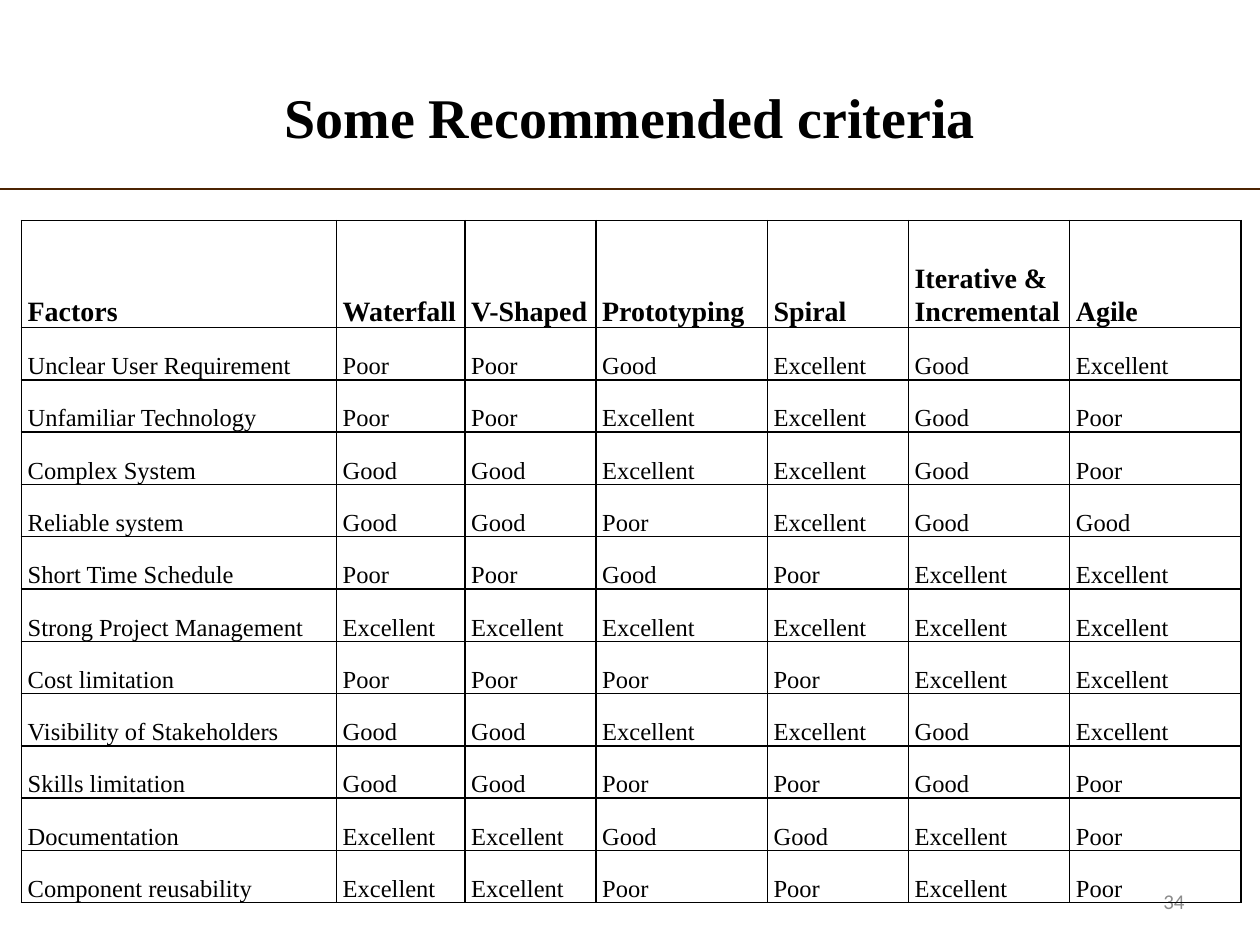
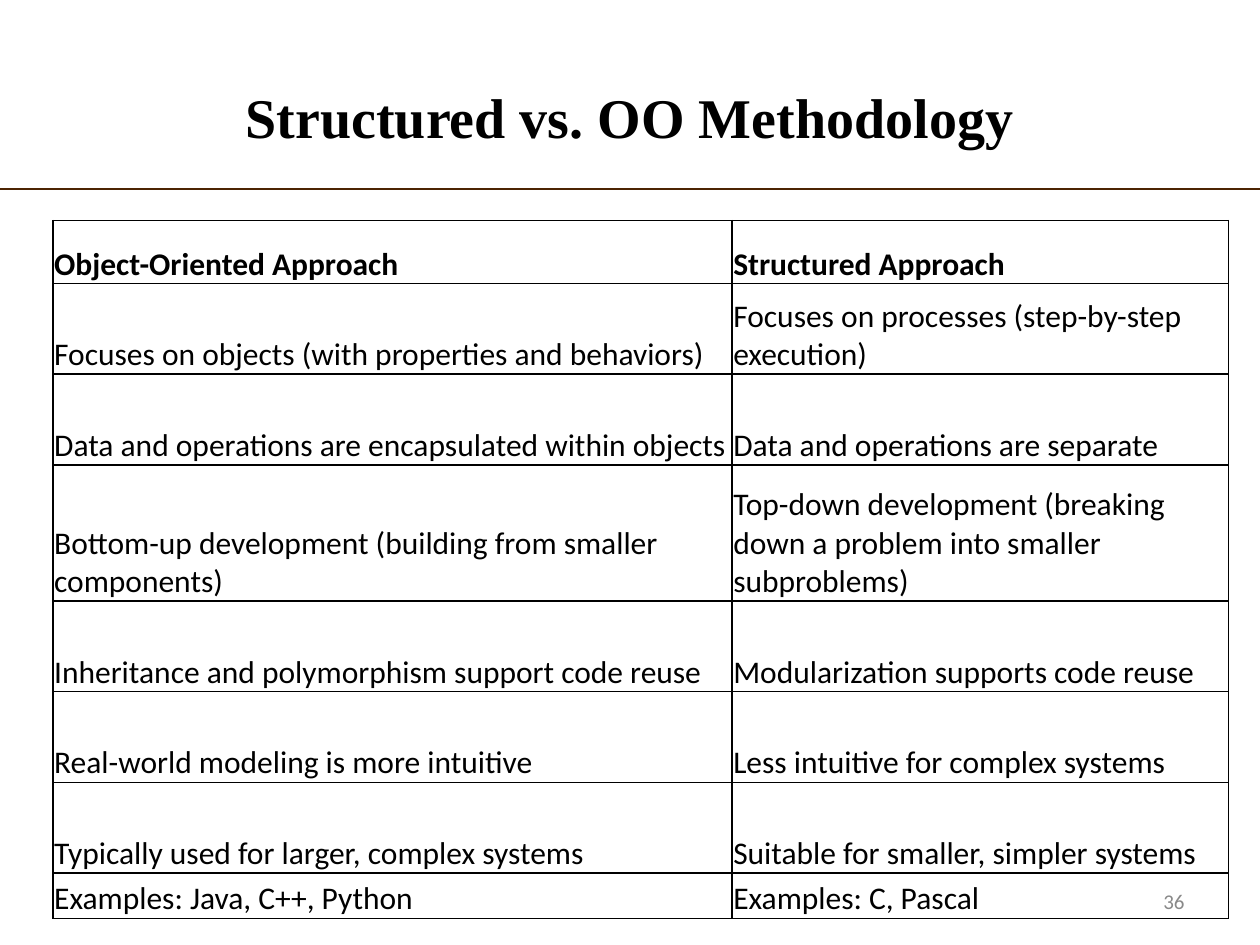
import dataclasses
import typing

import lxml.etree
import pptx
import pptx.dml.color
import pptx.enum.shapes
import pptx.enum.text
import pptx.oxml.ns
import pptx.util

Inches = pptx.util.Inches
Pt = pptx.util.Pt
ALIGN = pptx.enum.text.PP_ALIGN
ANCHOR = pptx.enum.text.MSO_ANCHOR

COLORS = {
    "text": "000000",
    "rule": "4C2403",
    "number": "8C8C8C",
    "number_alt": "898989",
    "border": "000000",
}
SERIF = "Times New Roman"
SANS = "Calibri"
TITLE_FONT = {"name": SERIF, "size": Pt(32), "bold": True}
NUMBER_FONT = {"name": SANS, "size": Pt(12), "bold": False}

CRITERIA = [
    ["Factors", "Waterfall", "V-Shaped", "Prototyping", "Spiral",
     "Iterative & Incremental", "Agile"],
    ["Unclear User Requirement", "Poor", "Poor", "Good", "Excellent", "Good", "Excellent"],
    ["Unfamiliar Technology", "Poor", "Poor", "Excellent", "Excellent", "Good", "Poor"],
    ["Complex System", "Good", "Good", "Excellent", "Excellent", "Good", "Poor"],
    ["Reliable system", "Good", "Good", "Poor", "Excellent", "Good", "Good"],
    ["Short Time Schedule", "Poor", "Poor", "Good", "Poor", "Excellent", "Excellent"],
    ["Strong Project Management"] + ["Excellent"] * 6,
    ["Cost limitation", "Poor", "Poor", "Poor", "Poor", "Excellent", "Excellent"],
    ["Visibility of Stakeholders", "Good", "Good", "Excellent", "Excellent", "Good", "Excellent"],
    ["Skills limitation", "Good", "Good", "Poor", "Poor", "Good", "Poor"],
    ["Documentation", "Excellent", "Excellent", "Good", "Good", "Excellent", "Poor"],
    ["Component reusability", "Excellent", "Excellent", "Poor", "Poor", "Excellent", "Poor"],
]
APPROACHES = [
    ["Object-Oriented Approach", "Structured Approach"],
    ["Focuses on objects (with properties and behaviors)",
     "Focuses on processes (step-by-step execution)"],
    ["Data and operations are encapsulated within objects",
     "Data and operations are separate"],
    ["Bottom-up development (building from smaller components)",
     "Top-down development (breaking down a problem into smaller subproblems)"],
    ["Inheritance and polymorphism support code reuse",
     "Modularization supports code reuse"],
    ["Real-world modeling is more intuitive", "Less intuitive for complex systems"],
    ["Typically used for larger, complex systems", "Suitable for smaller, simpler systems"],
    ["Examples: Java, C++, Python", "Examples: C, Pascal"],
]


@dataclasses.dataclass
class TableSlide:
    title: str
    number: str
    number_color: str
    left: float
    cols: list[float]
    rows: list[float]
    cells: list[list[str]]
    header_font: dict[str, typing.Any]
    body_font: dict[str, typing.Any]
    cell_format: dict[str, typing.Any]
    paragraph_format: dict[str, typing.Any]


SLIDES = [
    TableSlide(
        title="Some Recommended criteria", number="34", number_color="number", left=0.17,
        cols=[2.5, 1.02, 1.04, 1.36, 1.12, 1.28, 1.36],
        rows=[0.85] + [0.415] * 11,
        cells=CRITERIA,
        header_font={"name": SERIF, "size": Pt(16), "bold": True},
        body_font={"name": SERIF, "size": Pt(14), "bold": False},
        cell_format={"margin_left": Inches(0.05), "margin_top": 0,
                     "margin_right": 0, "margin_bottom": 0},
        paragraph_format={"line_spacing": 1.07, "space_after": Pt(8)},
    ),
    TableSlide(
        title="Structured vs. OO Methodology", number="36", number_color="number_alt", left=0.42,
        cols=[5.39, 3.94],
        rows=[0.5, 0.72, 0.72, 1.08, 0.72, 0.72, 0.72, 0.36],
        cells=APPROACHES,
        header_font={"name": SANS, "size": Pt(18), "bold": True},
        body_font={"name": SANS, "size": Pt(18), "bold": False},
        cell_format={"margin_left": Inches(0.01), "margin_top": Inches(0.01),
                     "margin_right": Inches(0.01), "margin_bottom": 0},
        paragraph_format={},
    ),
]


def rgb(color: str) -> pptx.dml.color.RGBColor:
    return pptx.dml.color.RGBColor.from_string(COLORS[color])


def apply(target: typing.Any, values: dict[str, typing.Any]) -> None:
    for name, value in values.items():
        setattr(target, name, value)


def write(tf: typing.Any, text: str, font: dict[str, typing.Any], color: str,
          paragraph: dict[str, typing.Any]) -> None:
    p = tf.paragraphs[0]
    apply(p, paragraph)
    r = p.add_run()
    r.text = text
    apply(r.font, font)
    r.font.color.rgb = rgb(color)


def place(sp: typing.Any, left: float, top: float, width: float, height: float) -> None:
    apply(sp, {"left": Inches(left), "top": Inches(top),
               "width": Inches(width), "height": Inches(height)})


def add_title(s: typing.Any, text: str) -> None:
    sp = s.shapes.title
    place(sp, 0.5, 0.3, 9, 1.25)
    apply(sp.text_frame, {"vertical_anchor": ANCHOR.MIDDLE, "word_wrap": True})
    write(sp.text_frame, text, TITLE_FONT, "text", {"alignment": ALIGN.CENTER})


def add_number(s: typing.Any, text: str, color: str) -> None:
    sp = s.shapes.add_textbox(Inches(7.17), Inches(6.95), Inches(2.33), Inches(0.4))
    apply(sp.text_frame, {"vertical_anchor": ANCHOR.MIDDLE, "word_wrap": True})
    write(sp.text_frame, text, NUMBER_FONT, color, {"alignment": ALIGN.RIGHT})


def add_rule(s: typing.Any) -> None:
    sp = s.shapes.add_connector(pptx.enum.shapes.MSO_CONNECTOR.STRAIGHT,
                                Inches(0), Inches(1.5), Inches(10), Inches(1.5))
    sp.line.color.rgb = rgb("rule")
    sp.line.width = Pt(1.25)
    lxml.etree.SubElement(sp._element.spPr, pptx.oxml.ns.qn("a:effectLst"))


def add_borders(cell: typing.Any) -> None:
    qn = pptx.oxml.ns.qn
    tcPr = cell._tc.get_or_add_tcPr()
    for side in ("a:lnL", "a:lnR", "a:lnT", "a:lnB"):
        ln = lxml.etree.SubElement(tcPr, qn(side), w=str(Pt(1)))
        fill = lxml.etree.SubElement(ln, qn("a:solidFill"))
        lxml.etree.SubElement(fill, qn("a:srgbClr"), val=COLORS["border"])


def add_grid(s: typing.Any, item: TableSlide) -> None:
    table = s.shapes.add_table(len(item.rows), len(item.cols), Inches(item.left), Inches(1.75),
                               Inches(sum(item.cols)), Inches(sum(item.rows))).table
    apply(table, {"first_row": False, "horz_banding": False})
    for col, width in zip(table.columns, item.cols):
        col.width = Inches(width)
    for row, height in zip(table.rows, item.rows):
        row.height = Inches(height)
    for i, texts in enumerate(item.cells):
        font = item.body_font if i else item.header_font
        for j, text in enumerate(texts):
            cell = table.cell(i, j)
            apply(cell, {"vertical_anchor": ANCHOR.BOTTOM, **item.cell_format})
            add_borders(cell)
            cell.fill.background()
            write(cell.text_frame, text, font, "text", item.paragraph_format)


def main() -> None:
    prs = pptx.Presentation()
    apply(prs, {"slide_width": Inches(10), "slide_height": Inches(7.5)})
    for item in SLIDES:
        s = prs.slides.add_slide(prs.slide_layouts[5])
        add_title(s, item.title)
        add_number(s, item.number, item.number_color)
        add_rule(s)
        add_grid(s, item)
    prs.save("out.pptx")


if __name__ == "__main__":
    main()
